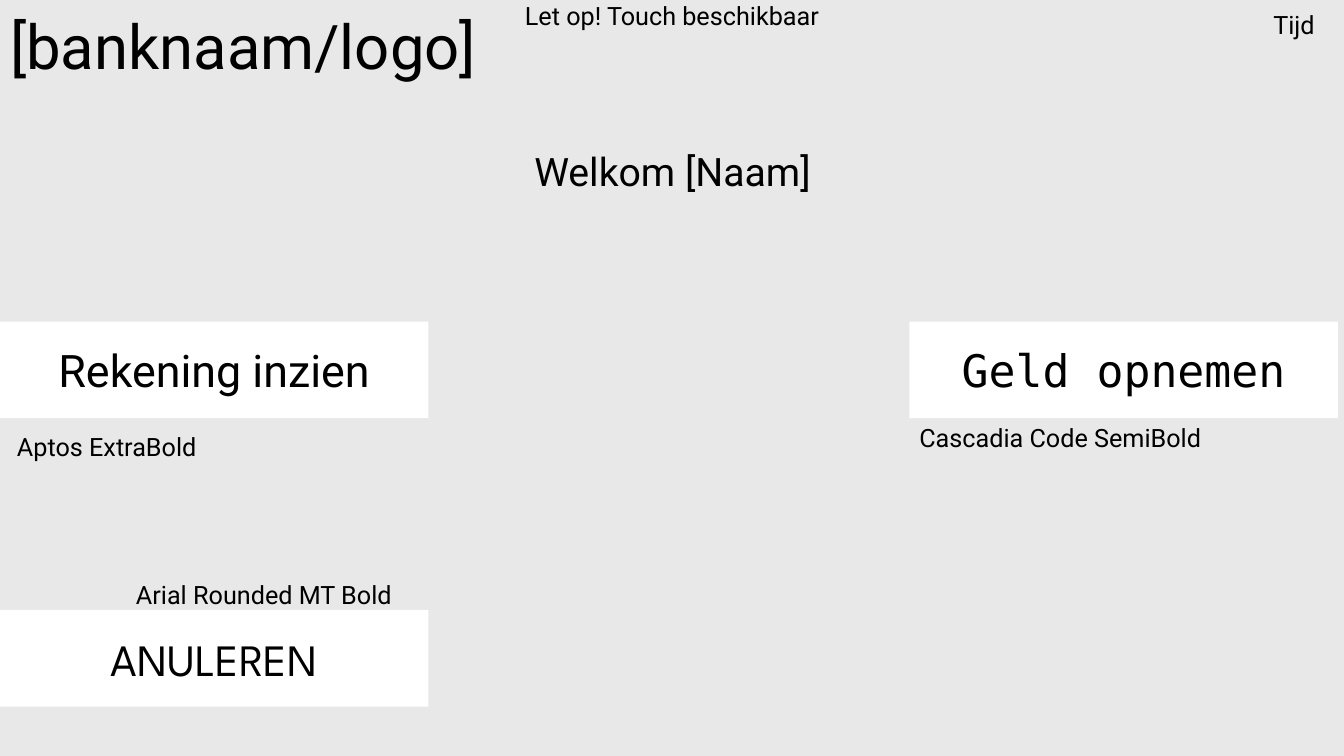
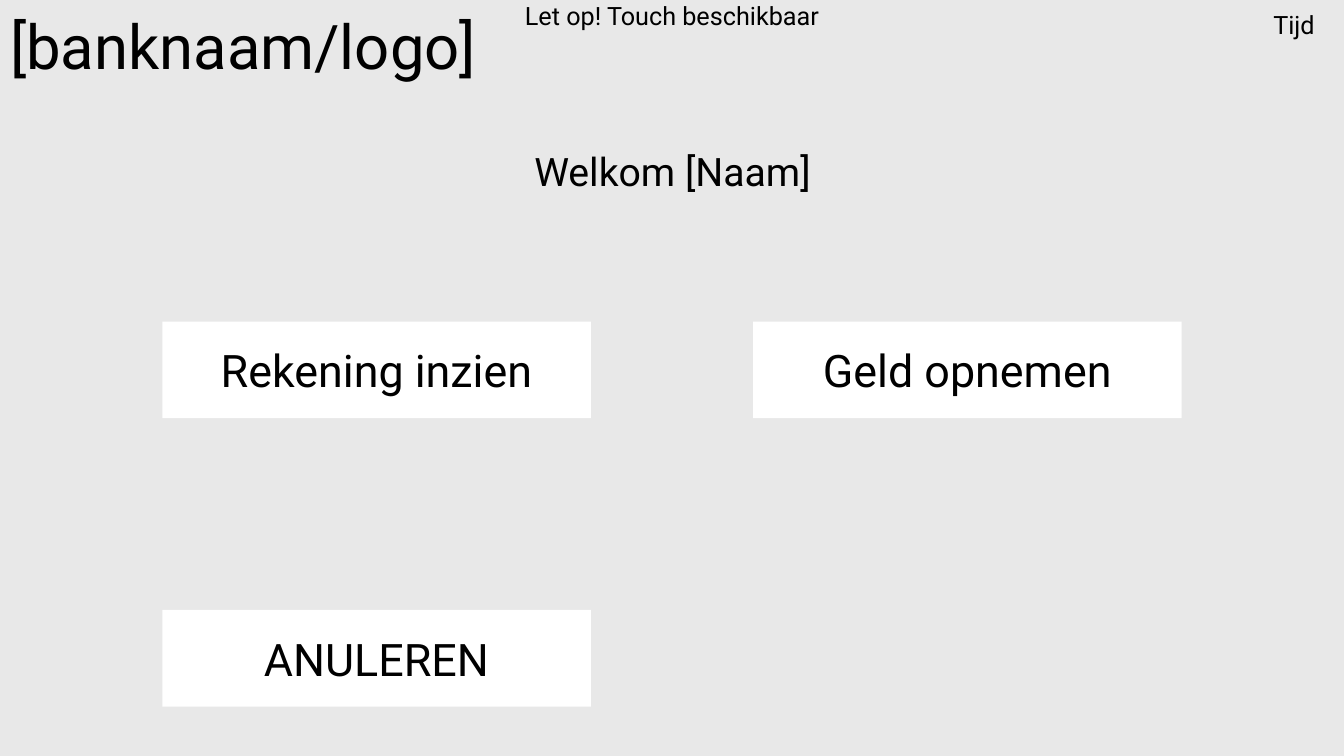
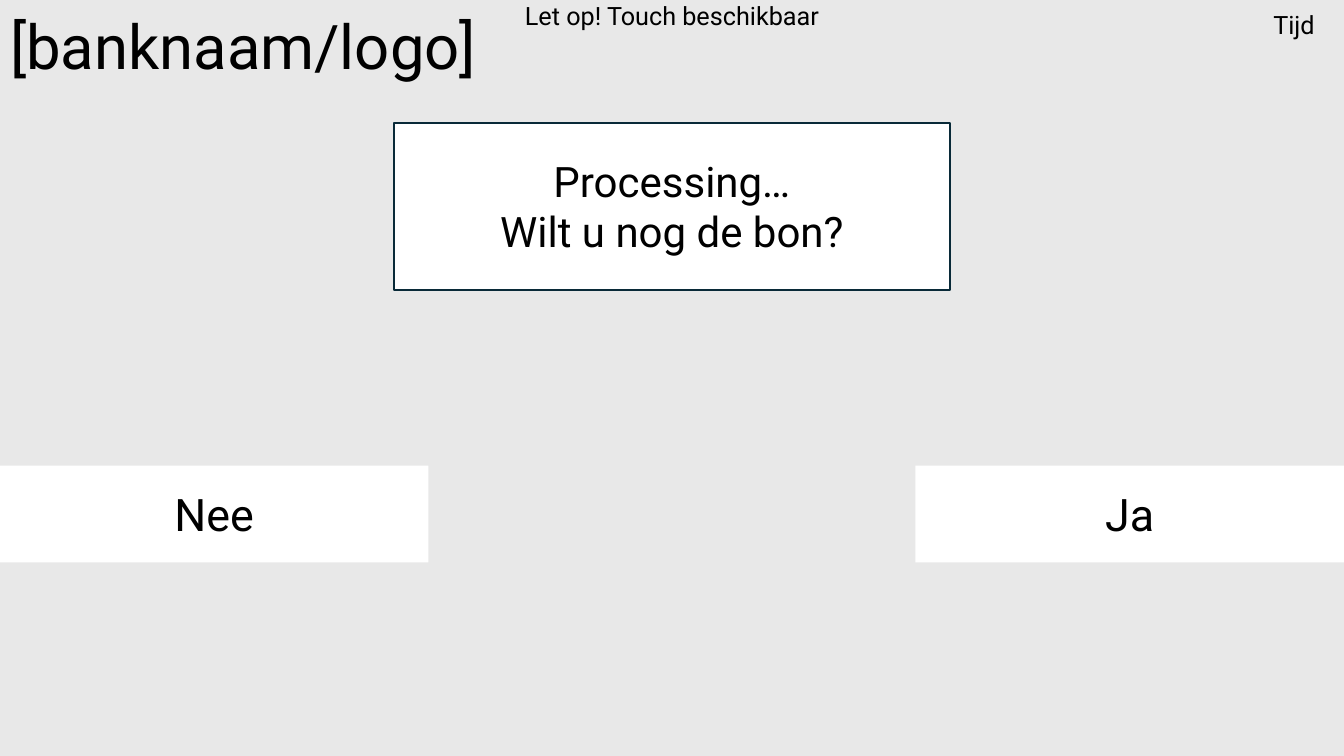
from pptx import Presentation
from pptx.dml.color import RGBColor
from pptx.enum.shapes import MSO_SHAPE as Shape
from pptx.enum.text import MSO_ANCHOR as Anchor, MSO_AUTO_SIZE as AutoSize, PP_ALIGN as Align
from pptx.util import Inches, Pt

SLIDE_WIDTH, SLIDE_HEIGHT = 13.33, 7.5
BUTTON_WIDTH, BUTTON_HEIGHT = 4.25, 0.96
CHOICE_TOP, CANCEL_TOP, ANSWER_TOP = 3.19, 6.05, 4.62
RIGHT_EDGE = SLIDE_WIDTH - BUTTON_WIDTH


def color(value):
    return RGBColor.from_string(value)


class BankScreens:
    """Holds the shared style and the slide being filled."""

    GREY, WHITE, BLACK, NAVY = "E8E8E8", "FFFFFF", "000000", "092A38"
    FONT = "Roboto"

    def __init__(self):
        self.deck = Presentation()
        self.deck.slide_width = Inches(SLIDE_WIDTH)
        self.deck.slide_height = Inches(SLIDE_HEIGHT)
        background = self.deck.slide_master.background.fill
        background.solid()
        background.fore_color.rgb = color(self.GREY)
        self.slide = None

    def set_text(self, shape, text, size, align=Align.CENTER, anchor=Anchor.MIDDLE, font=FONT):
        frame = shape.text_frame
        frame.text = text
        frame.word_wrap = True
        frame.auto_size = AutoSize.NONE
        frame.vertical_anchor = anchor
        for para in frame.paragraphs:
            para.alignment = align
            for span in para.runs:
                span.font.name = font
                span.font.size = Pt(size)
                span.font.color.rgb = color(self.BLACK)

    def label(self, text, left, top, width, height, size=18, **style):
        box = self.slide.shapes.add_textbox(
            Inches(left), Inches(top), Inches(width), Inches(height))
        self.set_text(box, text, size, **style)

    def caption(self, text, left, top, width):
        self.label(text, left, top, width, 0.4, align=Align.LEFT, anchor=Anchor.TOP)

    def panel(self, text, left, top, width, height, size, line=None, **style):
        box = self.slide.shapes.add_shape(
            Shape.RECTANGLE, Inches(left), Inches(top), Inches(width), Inches(height))
        box.shadow.inherit = False
        box.fill.solid()
        box.fill.fore_color.rgb = color(self.WHITE)
        if line:
            box.line.color.rgb = color(line)
            box.line.width = Pt(1.5)
        else:
            box.line.fill.background()
        self.set_text(box, text, size, **style)
        return box

    def button(self, text, left, top, font=FONT):
        self.panel(text, left, top, BUTTON_WIDTH, BUTTON_HEIGHT, 32, font=font)

    def new_screen(self):
        """Adds a slide with the header that every screen has."""
        self.slide = self.deck.slides.add_slide(self.deck.slide_layouts[5])
        title = self.slide.shapes.title
        title.left, title.top = Inches(0), Inches(-0.23)
        title.width, title.height = Inches(SLIDE_WIDTH), Inches(1.45)
        self.set_text(title, "[banknaam/logo]", 44, align=Align.LEFT)
        title.text_frame.paragraphs[0].line_spacing = 0.9
        self.label("Tijd ", 12.4, 0, 0.93, 0.49)
        self.label("Let op! Touch beschikbaar", 4.24, 0.01, 4.85, 0.28)

    def menu_screen(self, left, right, cancel_font=FONT, withdraw_font=FONT):
        self.new_screen()
        self.button("Rekening inzien", left, CHOICE_TOP)
        self.button("ANULEREN", left, CANCEL_TOP, cancel_font)
        self.button("Geld opnemen", right, CHOICE_TOP, withdraw_font)
        self.label("Welkom [Naam]", 4.67, 1.22, 4, 0.96, size=28)


def main():
    screens = BankScreens()

    # Menu at the screen edges, with font samples
    screens.menu_screen(0, 9.02, "League Spartan", "DejaVu Sans Mono")
    screens.caption("Aptos ExtraBold", 0.07, 4.23, 2.05)
    screens.caption("Arial Rounded MT Bold", 1.25, 5.7, 2.92)
    screens.caption("Cascadia Code SemiBold", 9.02, 4.14, 3.07)

    # Menu with equal gaps around the two columns
    gap = (SLIDE_WIDTH - 2 * BUTTON_WIDTH) / 3
    screens.menu_screen(gap, 2 * gap + BUTTON_WIDTH)

    # Receipt question
    screens.new_screen()
    screens.button("Ja", RIGHT_EDGE, ANSWER_TOP)
    screens.button("Nee", 0, ANSWER_TOP)
    question = screens.panel("Processing…\nWilt u nog de bon?", 3.91, 1.22, 5.51, 1.66, 30,
                             line=screens.NAVY, anchor=Anchor.TOP)
    question.text_frame.margin_top = Inches(0.32)

    screens.deck.save("out.pptx")


if __name__ == "__main__":
    main()
